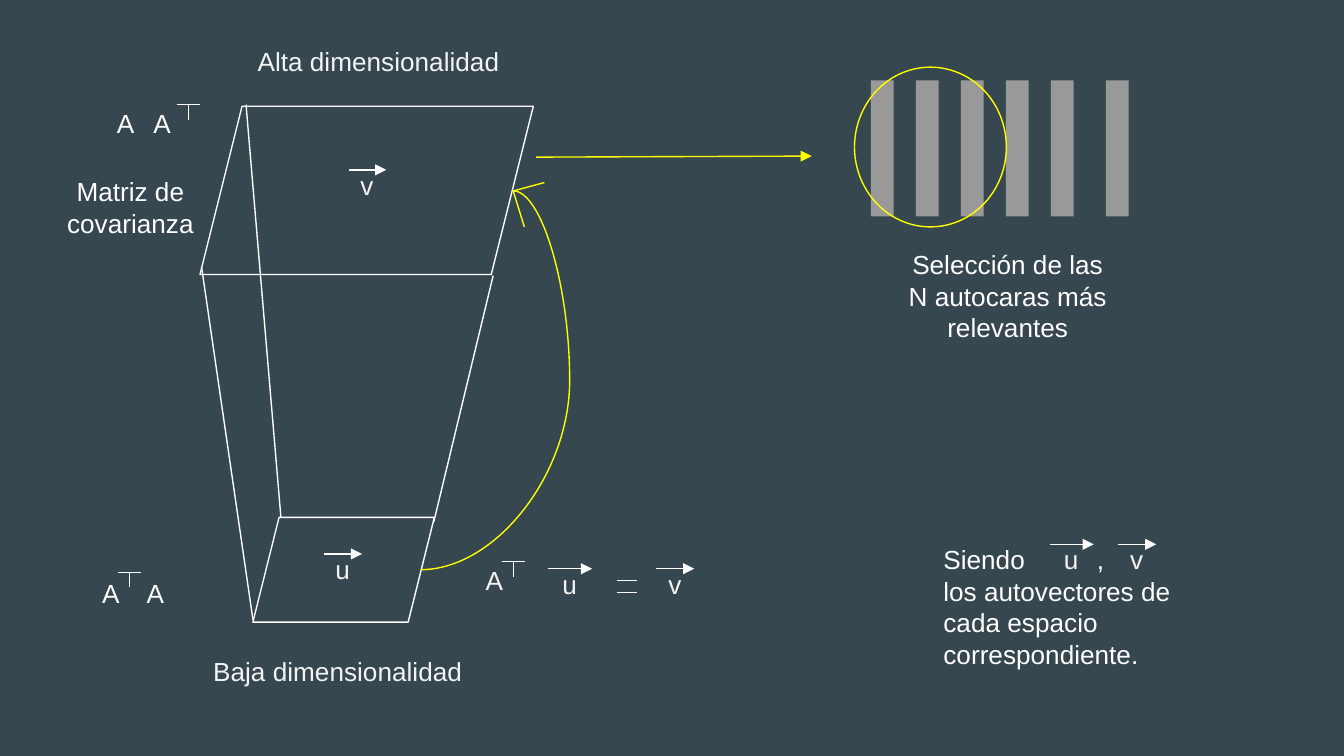
"""Build a slide on eigenvectors in high- and low-dimensional spaces."""
from lxml.etree import SubElement
from pptx import Presentation
from pptx.dml.color import RGBColor
from pptx.enum.shapes import MSO_CONNECTOR as Link, MSO_SHAPE as Preset
from pptx.enum.text import PP_ALIGN as Align
from pptx.oxml.ns import qn
from pptx.util import Cm, Pt

SLATE = RGBColor(0x37, 0x47, 0x4F)
WHITE = RGBColor(0xFF, 0xFF, 0xFF)
PALE = RGBColor(0xF3, 0xF3, 0xF3)
YELLOW = RGBColor(0xFF, 0xFF, 0x00)
GRAY = RGBColor(0x99, 0x99, 0x99)
THIN = Pt(0.75)


def add_label(slide, left, top, width, height, text, color=WHITE, align=Align.LEFT, tab=None):
    frame = slide.shapes.add_textbox(Cm(left), Cm(top), Cm(width), Cm(height)).text_frame
    frame.word_wrap = True
    frame.margin_left = frame.margin_right = Cm(0.25)
    frame.margin_top = frame.margin_bottom = Cm(0.25)
    frame.text = text
    for paragraph in frame.paragraphs:
        paragraph.alignment = align
        for run in paragraph.runs:
            run.font.name = "Arial"
            run.font.size = Pt(14)
            run.font.color.rgb = color
    if tab:
        stops = SubElement(frame.paragraphs[0]._p.get_or_add_pPr(), qn("a:tabLst"))
        SubElement(stops, qn("a:tab"), pos=str(Cm(tab)), algn="l")


def add_line(slide, start, end, color=WHITE, arrow=False, kind=Link.STRAIGHT):
    line = slide.shapes.add_connector(kind, *map(Cm, start + end))
    line.line.color.rgb = color
    line.line.width = THIN
    if arrow:
        SubElement(line.line._get_or_add_ln(), qn("a:tailEnd"), type="triangle")
    SubElement(line._element.spPr, qn("a:effectLst"))
    return line


def add_curve(slide, start, end, bulge, color):
    curve = add_line(slide, start, end, color, kind=Link.CURVE)
    guides = curve._element.spPr.find(qn("a:prstGeom")).get_or_add_avLst()
    SubElement(guides, qn("a:gd"), name="adj1", fmla=f"val {round(bulge * 100000)}")


def add_outline(slide, preset, left, top, width, height, color):
    outline = slide.shapes.add_shape(preset, Cm(left), Cm(top), Cm(width), Cm(height))
    outline.shadow.inherit = False
    outline.fill.background()
    outline.line.color.rgb = color
    outline.line.width = THIN


def add_bar(slide, left):
    bar = slide.shapes.add_shape(Preset.RECTANGLE, Cm(left), Cm(1.52), Cm(0.43), Cm(2.57))
    bar.shadow.inherit = False
    bar.fill.solid()
    bar.fill.fore_color.rgb = GRAY
    bar.line.fill.background()


def add_vector(slide, letter, left, top, width=1.83):
    add_label(slide, left, top, width, 1.14, letter, PALE, Align.CENTER)
    tail, height = left + 0.31 * width, top + 0.26
    add_line(slide, (tail, height), (tail + 0.39 * width, height), arrow=True)


def add_transpose(slide, center, top):
    add_line(slide, (center, top), (center, top + 0.28))
    add_line(slide, (center - 0.22, top), (center + 0.22, top))


def draw_spaces(slide):
    add_outline(slide, Preset.PARALLELOGRAM, 3.78, 2.01, 6.3, 3.18, WHITE)
    add_outline(slide, Preset.PARALLELOGRAM, 4.78, 9.78, 3.43, 1.98, WHITE)
    for start, end in (
        ((4.65, 1.98), (5.31, 9.78)),
        ((4.78, 11.71), (3.81, 5.05)),
        ((8.2, 9.86), (9.32, 5.21)),
    ):
        add_line(slide, start, end)
    add_label(slide, 4.62, 0.61, 5.41, 1.14, "Alta dimensionalidad", PALE)
    add_label(slide, 3.78, 12.14, 5.41, 1.14, "Baja dimensionalidad", PALE)
    add_vector(slide, "v", 6.02, 2.95)
    add_vector(slide, "u", 5.56, 10.21)

    tip = (9.7, 3.61)
    add_curve(slide, (7.95, 10.77), tip, 1.61, YELLOW)
    for barb in ((9.91, 4.29), (10.29, 3.45)):
        add_line(slide, barb, tip, YELLOW)


def draw_formulas(slide):
    add_label(slide, 1.96, 1.78, 2.13, 0.69, "A\tA", tab=0.69)
    add_transpose(slide, 3.56, 1.98)
    add_label(slide, 0.18, 3.07, 4.57, 1.14, "Matriz de covarianza", align=Align.CENTER)
    add_label(slide, 1.68, 10.67, 2.13, 0.69, "A\tA", tab=0.84)
    add_transpose(slide, 2.45, 10.82)

    add_label(slide, 8.43, 10.41, 1.83, 1.14, "A", PALE, Align.CENTER)
    add_transpose(slide, 9.7, 10.62)
    add_vector(slide, "u", 9.7, 10.49, 2.13)
    for height in (10.97, 11.2):
        add_line(slide, (11.66, height), (12.04, height))
    add_vector(slide, "v", 11.84, 10.49)


def draw_selection(slide):
    add_line(slide, (10.13, 2.97), (15.34, 2.95), YELLOW, arrow=True)
    for index in range(5):
        add_bar(slide, 16.46 + 0.85 * index)
    add_bar(slide, 20.9)
    add_outline(slide, Preset.OVAL, 16.15, 1.27, 2.87, 3.02, YELLOW)
    add_label(slide, 16.76, 4.45, 4.57, 1.14,
              "Selección de las N autocaras más relevantes", align=Align.CENTER)


def draw_note(slide):
    add_label(slide, 17.58, 10.03, 4.83, 1.98,
              "Siendo\t,\nlos autovectores de cada espacio correspondiente.", tab=2.9)
    add_vector(slide, "u", 19.18, 10.03, 2.13)
    add_vector(slide, "v", 20.57, 10.03)


def main():
    deck = Presentation()
    deck.slide_width, deck.slide_height = Cm(25.4), Cm(14.29)
    slide = deck.slides.add_slide(deck.slide_layouts[6])
    slide.background.fill.solid()
    slide.background.fill.fore_color.rgb = SLATE
    draw_spaces(slide)
    draw_formulas(slide)
    draw_selection(slide)
    draw_note(slide)
    deck.save("out.pptx")


if __name__ == "__main__":
    main()
